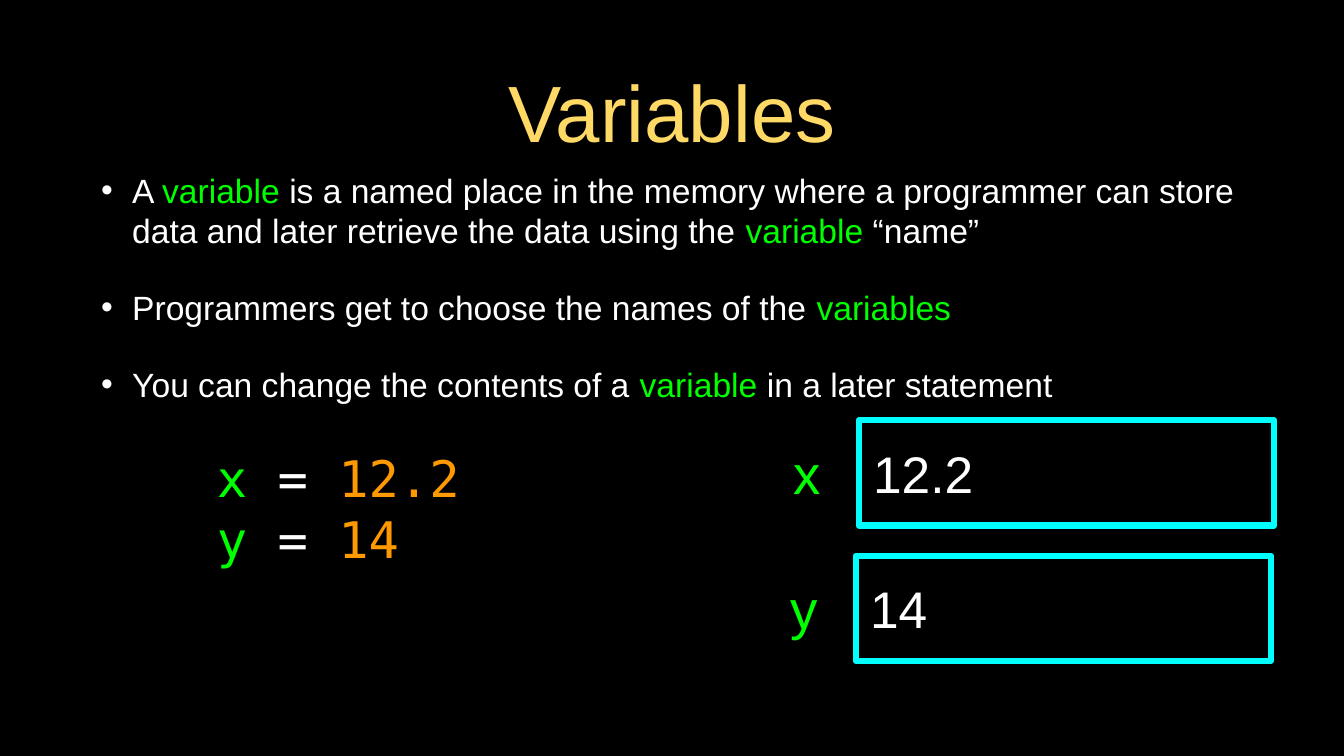
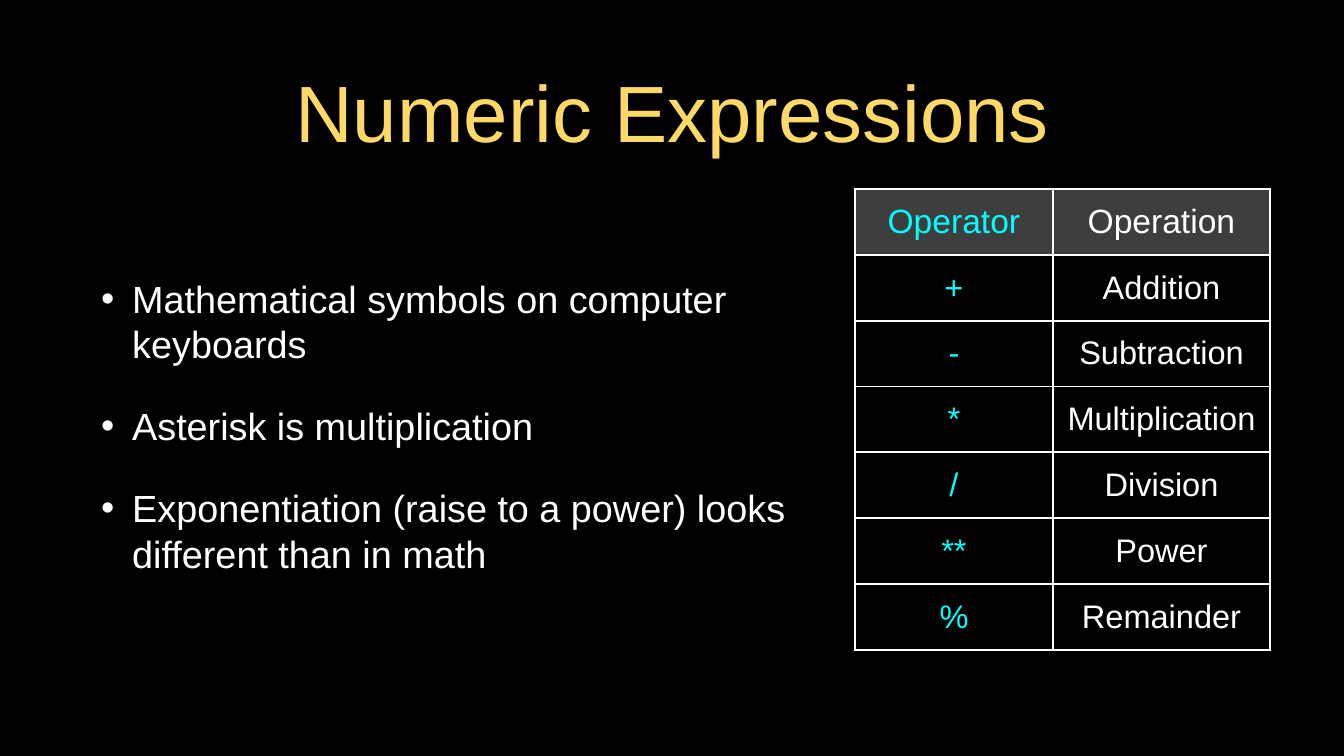
from dataclasses import dataclass

import pptx
import pptx.dml.color
import pptx.enum.shapes
import pptx.enum.text
import pptx.oxml
import pptx.oxml.ns
import pptx.util
from lxml import etree

RGBColor = pptx.dml.color.RGBColor
Anchor = pptx.enum.text.MSO_ANCHOR
Align = pptx.enum.text.PP_ALIGN

BLACK = RGBColor(0x00, 0x00, 0x00)
WHITE = RGBColor(0xFF, 0xFF, 0xFF)
GOLD = RGBColor(0xFF, 0xD9, 0x66)
GREEN = RGBColor(0x00, 0xFF, 0x00)
CYAN = RGBColor(0x00, 0xFF, 0xFF)
ORANGE = RGBColor(0xFF, 0x99, 0x00)
GREY = RGBColor(0x7F, 0x7F, 0x7F)

SANS = "Arial"
MONO = "DejaVu Sans Mono"
SLIDE_WIDTH = pptx.util.Inches(17.78)
SLIDE_HEIGHT = pptx.util.Inches(10)
PADDING = pptx.util.Inches(0.04)
BULLET_INDENT = pptx.util.Inches(0.41)


def across(percent: float) -> int:
    return round(SLIDE_WIDTH * percent / 100)


def down(percent: float) -> int:
    return round(SLIDE_HEIGHT * percent / 100)


@dataclass(frozen=True)
class Region:
    """A rectangle in percent of the slide's width and height."""

    left: float
    top: float
    width: float
    height: float

    def emu(self) -> tuple[int, int, int, int]:
        return across(self.left), down(self.top), across(self.width), down(self.height)


@dataclass(frozen=True)
class Span:
    text: str
    color: RGBColor = WHITE


@dataclass(frozen=True)
class Style:
    size: float
    font: str = SANS
    align: Align = Align.LEFT
    bulleted: bool = False
    padding: int = 0


@dataclass(frozen=True)
class MemoryCell:
    name: str
    value: str
    name_left: float
    name_width: float
    box_left: float


TITLE_REGION = Region(5, 8.6, 90, 12.1)
FOOTER_REGION = Region(0, 91.4, 100, 8.6)
TITLE_STYLE = Style(76, align=Align.CENTER, padding=PADDING)
NAME_STYLE = Style(52, align=Align.CENTER)
VALUE_STYLE = Style(49)
CODE_STYLE = Style(48, font=MONO)

VARIABLE_POINTS = [
    [
        Span("A "),
        Span("variable", GREEN),
        Span(" is a named place in the memory where a programmer can store data "
             "and later retrieve the data using the "),
        Span("variable ", GREEN),
        Span("“name”"),
    ],
    [Span("Programmers get to choose the names of the "), Span("variables", GREEN)],
    [
        Span("You can change the contents of a "),
        Span("variable ", GREEN),
        Span("in a later statement"),
    ],
]
EXPRESSION_POINTS = [
    [Span("Mathematical symbols on computer keyboards")],
    [Span("Asterisk is multiplication")],
    [Span("Exponentiation (raise to a power) looks different than in math")],
]
MEMORY_CELLS = [
    MemoryCell("x", "12.2", 58.66, 2.76, 63.9),
    MemoryCell("y", "14", 58.58, 2.47, 63.67),
]
MEMORY_TOP = 55.6
MEMORY_PITCH = 17.9
OPERATORS = [
    ("Operator", "Operation"),
    ("+", "Addition"),
    ("-", "Subtraction"),
    ("*", "Multiplication"),
    ("/", "Division"),
    ("**", "Power"),
    ("%", "Remainder"),
]
OPERATOR_COLUMNS = (14.74, 16.14)
OPERATOR_ROW = 8.71


def add_xml(parent: etree._Element, tag: str, **attributes: str) -> etree._Element:
    child = etree.SubElement(parent, pptx.oxml.ns.qn(f"a:{tag}"))
    for key, value in attributes.items():
        child.set(key, value)
    return child


def add_bullet(paragraph) -> None:
    properties = paragraph._p.get_or_add_pPr()
    properties.set("marL", str(2 * BULLET_INDENT))
    properties.set("indent", str(-BULLET_INDENT))
    add_xml(add_xml(properties, "buClr"), "srgbClr", val=str(WHITE))
    add_xml(properties, "buFont", typeface=SANS)
    add_xml(properties, "buChar", char="•")


def write_text(frame, lines: list[list[Span]], style: Style) -> None:
    frame.word_wrap = True
    frame.vertical_anchor = Anchor.MIDDLE
    frame.margin_left = frame.margin_right = style.padding
    frame.margin_top = frame.margin_bottom = style.padding
    for index, spans in enumerate(lines):
        paragraph = frame.add_paragraph() if index else frame.paragraphs[0]
        paragraph.alignment = style.align
        if style.bulleted:
            paragraph.space_before = pptx.util.Pt(35 if index else 0)
            add_bullet(paragraph)
        paragraph.font.size = pptx.util.Pt(style.size)
        paragraph.font.name = style.font
        one_color = len({span.color for span in spans}) == 1
        if one_color:
            paragraph.font.color.rgb = spans[0].color
        for span in spans:
            run = paragraph.add_run()
            run.text = span.text
            if not one_color:
                run.font.color.rgb = span.color


def add_text(slide, region: Region, lines: list[list[Span]], style: Style):
    frame = slide.shapes.add_textbox(*region.emu()).text_frame
    write_text(frame, lines, style)
    return frame


def add_rectangle(slide, region: Region):
    rectangle = slide.shapes.add_shape(
        pptx.enum.shapes.MSO_SHAPE.RECTANGLE, *region.emu()
    )
    rectangle.shadow.inherit = False
    return rectangle


def add_titled_slide(deck, title: str):
    slide = deck.slides.add_slide(deck.slide_layouts[6])
    slide.background.fill.solid()
    slide.background.fill.fore_color.rgb = BLACK
    footer = add_rectangle(slide, FOOTER_REGION)
    footer.fill.solid()
    footer.fill.fore_color.rgb = BLACK
    footer.line.fill.background()
    add_text(slide, TITLE_REGION, [[Span(title, GOLD)]], TITLE_STYLE)
    return slide


def add_memory_cell(slide, cell: MemoryCell, top: float) -> None:
    box = add_rectangle(slide, Region(cell.box_left, top, 30.88, 13.9))
    box.fill.background()
    box.line.color.rgb = CYAN
    box.line.width = pptx.util.Pt(6)
    add_xml(box.line._get_or_add_ln(), "round")
    write_text(box.text_frame, [[Span(cell.value)]], VALUE_STYLE)
    box.text_frame.margin_left = pptx.util.Inches(0.19)
    name_region = Region(cell.name_left, top + 2.2, cell.name_width, 9.4)
    add_text(slide, name_region, [[Span(cell.name, GREEN)]], NAME_STYLE)


def add_cell_borders(cell) -> None:
    properties = cell._tc.get_or_add_tcPr()
    for position, side in enumerate(("lnL", "lnR", "lnT", "lnB")):
        border = add_xml(properties, side, w=str(pptx.util.Pt(2)))
        add_xml(add_xml(border, "solidFill"), "srgbClr", val=str(WHITE))
        properties.insert(position, border)


def shade_header(cell) -> None:
    cell.fill.solid()
    cell.fill.fore_color.rgb = GREY
    shade = cell._tc.tcPr.find(".//" + pptx.oxml.ns.qn("a:srgbClr"))
    add_xml(shade, "alpha", val="49000")


def add_operator_table(slide) -> None:
    region = Region(63.61, 25, sum(OPERATOR_COLUMNS), OPERATOR_ROW * len(OPERATORS))
    table = slide.shapes.add_table(
        len(OPERATORS), len(OPERATOR_COLUMNS), *region.emu()
    ).table
    table.first_row = table.horz_banding = False
    for column, width in zip(table.columns, OPERATOR_COLUMNS):
        column.width = across(width)
    for row_index, labels in enumerate(OPERATORS):
        table.rows[row_index].height = down(OPERATOR_ROW)
        style = Style(31 if row_index else 32, align=Align.CENTER)
        for column_index, (label, color) in enumerate(zip(labels, (CYAN, WHITE))):
            cell = table.cell(row_index, column_index)
            write_text(cell.text_frame, [[Span(label, color)]], style)
            cell.vertical_anchor = Anchor.MIDDLE
            cell.margin_left = cell.margin_right = PADDING
            cell.margin_top = cell.margin_bottom = PADDING
            if row_index:
                cell.fill.background()
            else:
                shade_header(cell)
            add_cell_borders(cell)


def build_variables(deck) -> None:
    slide = add_titled_slide(deck, "Variables")
    points_style = Style(32, bulleted=True, padding=PADDING)
    add_text(slide, Region(5, 23.3, 90, 29.3), VARIABLE_POINTS, points_style)
    for index, cell in enumerate(MEMORY_CELLS):
        add_memory_cell(slide, cell, MEMORY_TOP + index * MEMORY_PITCH)
    assignments = [
        [Span(f"{cell.name} ", GREEN), Span("= "), Span(cell.value, ORANGE)]
        for cell in MEMORY_CELLS
    ]
    code = add_text(slide, Region(16.14, 58.1, 24.86, 26.1), assignments, CODE_STYLE)
    code.margin_bottom = down(8)


def build_expressions(deck) -> None:
    slide = add_titled_slide(deck, "Numeric Expressions")
    points_style = Style(36, bulleted=True, padding=PADDING)
    add_text(slide, Region(5, 23.3, 55.57, 66), EXPRESSION_POINTS, points_style)
    add_operator_table(slide)


def main() -> None:
    deck = pptx.Presentation()
    deck.slide_width = SLIDE_WIDTH
    deck.slide_height = SLIDE_HEIGHT
    build_variables(deck)
    build_expressions(deck)
    deck.save("out.pptx")


if __name__ == "__main__":
    main()
